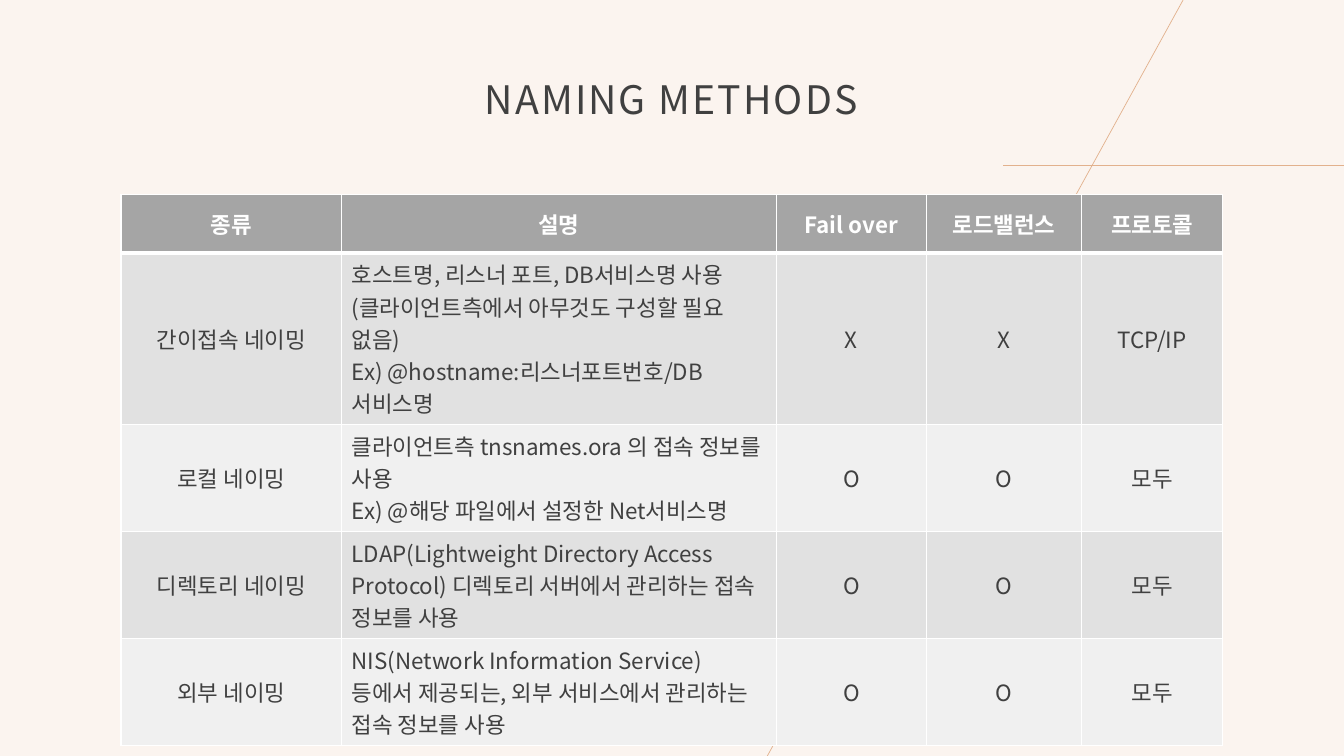
import pptx
import pptx.util
import pptx.dml.color
import pptx.enum.shapes
import pptx.enum.text
import pptx.oxml.ns
import lxml.etree

Align = pptx.enum.text.PP_ALIGN
Anchor = pptx.enum.text.MSO_ANCHOR
qn = pptx.oxml.ns.qn
FONT = "Noto Sans CJK KR"
HUES = {name: pptx.dml.color.RGBColor.from_string(code) for name, code in {
    "back": "FBF4EF", "rule": "E2B18D", "ink": "404040", "white": "FFFFFF",
    "head": "A5A5A5", "dark": "E1E1E1", "light": "F0F0F0"}.items()}

deck = pptx.Presentation()
deck.slide_width = pptx.util.Inches(13.33)
deck.slide_height = pptx.util.Inches(7.5)


def place(*shares):
    """Turn percent shares, across and down in turn, into lengths."""
    sides = (deck.slide_width, deck.slide_height)
    return [round(sides[i % 2] * share / 100) for i, share in enumerate(shares)]


def write(para, text, size, hue, bold=False):
    run = para.add_run()
    run.text = text
    run.font.name = FONT
    run.font.size = pptx.util.Pt(size)
    run.font.bold = bold
    run.font.color.rgb = HUES[hue]
    props = run.font._element
    lxml.etree.SubElement(props, qn("a:ea"), typeface=FONT)
    return props


# Background
slide = deck.slides.add_slide(deck.slide_layouts[5])
slide.background.fill.solid()
slide.background.fill.fore_color.rgb = HUES["back"]

# Thin crossing lines
for ends in ((74.64, 21.87, 100, 21.87), (88.15, -0.4, 57.01, 100.27)):
    line = slide.shapes.add_connector(
        pptx.enum.shapes.MSO_CONNECTOR.STRAIGHT, *place(*ends))
    line.line.color.rgb = HUES["rule"]
    line.line.width = pptx.util.Pt(0.5)
    lxml.etree.SubElement(line._element.spPr, qn("a:effectLst"))

# Title
title = slide.shapes.title
title.left, title.top, title.width, title.height = place(16.05, 8.8, 67.82, 8.13)
frame = title.text_frame
frame.word_wrap = True
frame.auto_size = pptx.enum.text.MSO_AUTO_SIZE.NONE
frame.vertical_anchor = Anchor.BOTTOM
para = frame.paragraphs[0]
para.alignment = Align.CENTER
para.line_spacing = 0.9
write(para, "NAMING METHODS", 28, "ink").set("spc", "150")

# Table content: a line break starts a new paragraph
rows = [
    ("종류", "설명", "Fail over", "로드밸런스", "프로토콜"),
    ("간이접속 네이밍",
     "호스트명, 리스너 포트, DB서비스명 사용\n"
     "(클라이언트측에서 아무것도 구성할 필요 없음)\n"
     "Ex) @hostname:리스너포트번호/DB서비스명", "X", "X", "TCP/IP"),
    ("로컬 네이밍",
     "클라이언트측 tnsnames.ora 의 접속 정보를 사용\n"
     "Ex) @해당 파일에서 설정한 Net서비스명", "O", "O", "모두"),
    ("디렉토리 네이밍",
     "LDAP(Lightweight Directory Access Protocol) "
     "디렉토리 서버에서 관리하는 접속 정보를 사용", "O", "O", "모두"),
    ("외부 네이밍",
     "NIS(Network Information Service) 등에서 제공되는, "
     "외부 서비스에서 관리하는 접속 정보를 사용", "O", "O", "모두"),
]
widths = (16.43, 32.33, 11.18, 11.55, 10.5)
heights = (7.73,) + (12.4,) * 4

# Table grid
table = slide.shapes.add_table(
    len(rows), len(widths),
    *place(9, 25.73, sum(widths), sum(heights))).table
for col, share in zip(table.columns, widths):
    col.width = place(share)[0]
for row, share in zip(table.rows, heights):
    row.height = place(0, share)[1]

# Table cells
for r, row in enumerate(rows):
    head = r == 0
    fill = "head" if head else "dark" if r % 2 else "light"
    for c, text in enumerate(row):
        cell = table.cell(r, c)
        prose = c == 1 and not head
        cell.vertical_anchor = Anchor.TOP if prose else Anchor.MIDDLE

        # White borders, thick around the foot of the header
        for side in "LRTB":
            thick = (head and side == "B") or (r == 1 and side == "T")
            edge = lxml.etree.SubElement(
                cell._tc.get_or_add_tcPr(), qn("a:ln" + side),
                w=str(pptx.util.Pt(3 if thick else 1)))
            paint = lxml.etree.SubElement(edge, qn("a:solidFill"))
            lxml.etree.SubElement(paint, qn("a:srgbClr"), val=str(HUES["white"]))
        cell.fill.solid()
        cell.fill.fore_color.rgb = HUES[fill]

        for i, part in enumerate(text.split("\n")):
            frame = cell.text_frame
            para = frame.add_paragraph() if i else frame.paragraphs[0]
            para.alignment = Align.LEFT if prose else Align.CENTER
            write(para, part, 16, "white" if head else "ink", head)

deck.save("out.pptx")
